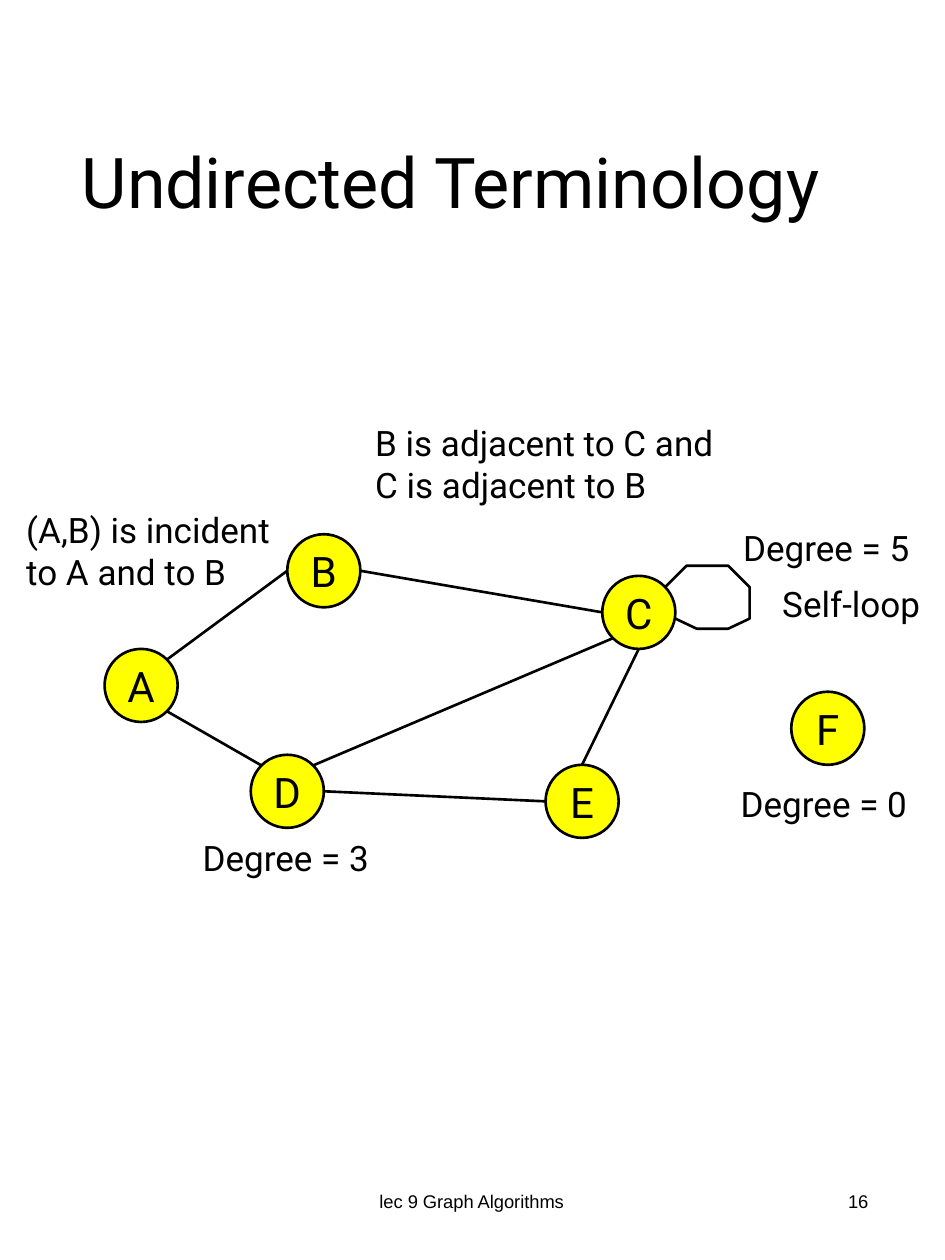
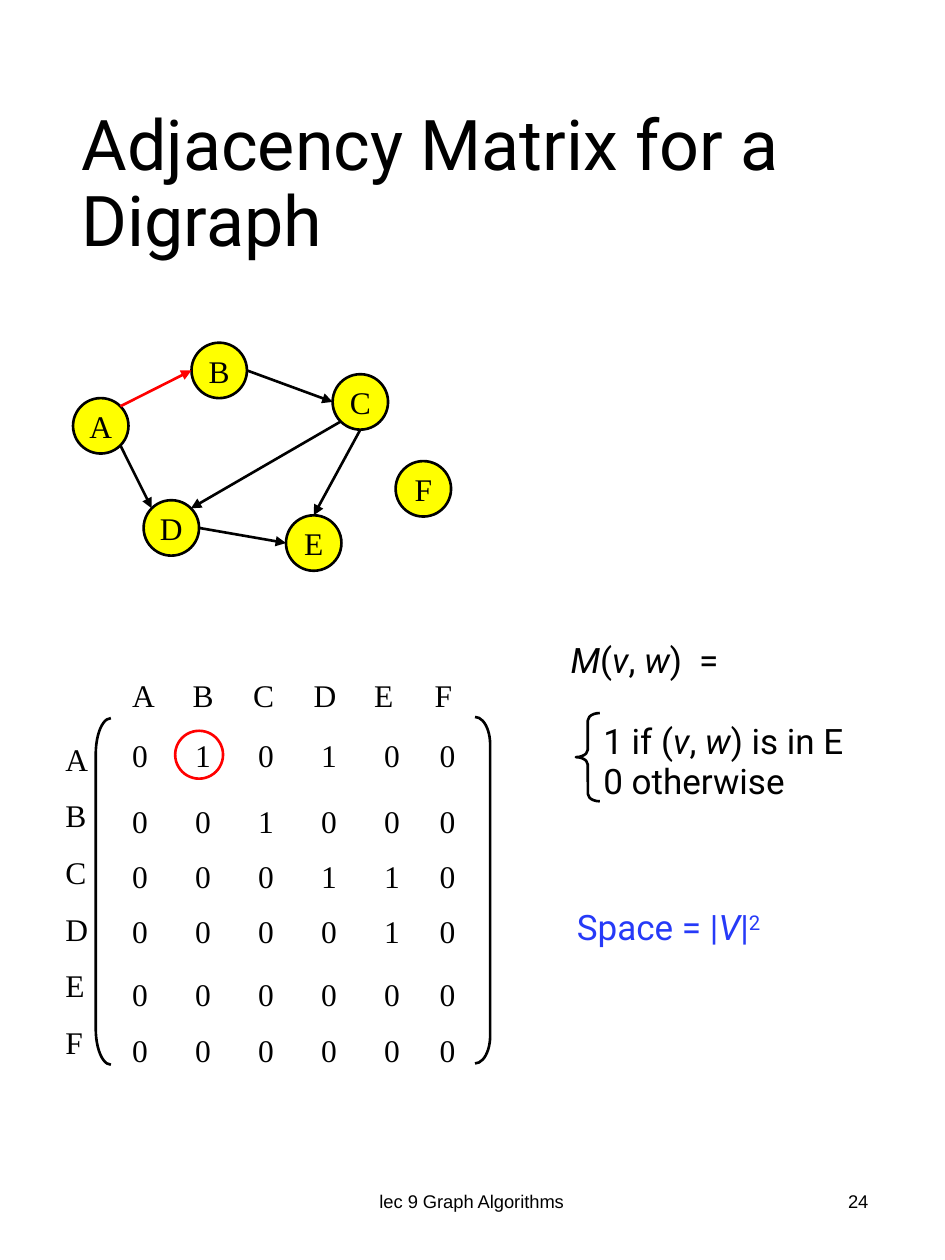
import dataclasses
import math
import typing

import lxml.etree
import pptx
import pptx.dml.color
import pptx.enum.shapes
import pptx.enum.text
import pptx.oxml.ns
import pptx.util

Inches = pptx.util.Inches
Shape = pptx.enum.shapes.MSO_SHAPE
Align = pptx.enum.text.PP_ALIGN
Anchor = pptx.enum.text.MSO_ANCHOR
AutoSize = pptx.enum.text.MSO_AUTO_SIZE

BLACK, RED, BLUE, YELLOW = "000000", "FF0000", "263AF8", "FFFF00"
LINE_WIDTH = pptx.util.Pt(1.5)

FORMATS = {
    "title": {"name": "Roboto", "size": pptx.util.Pt(40)},
    "footer": {"name": "Arial", "size": pptx.util.Pt(10.5)},
    "label": {"name": "Roboto", "size": pptx.util.Pt(20)},
    "large node": {"name": "Roboto", "size": pptx.util.Pt(24)},
    "matrix": {"name": "Times New Roman", "size": pptx.util.Pt(18)},
}


class Span(typing.NamedTuple):
    text: str
    italic: bool = False
    raised: bool = False


@dataclasses.dataclass
class Label:
    left: float
    top: float
    width: float
    height: float
    paras: list[list[Span]]
    style: str = "label"
    color: str = BLACK
    align: Align = Align.LEFT
    anchor: Anchor = Anchor.TOP
    wrap: bool = False
    grow: bool = True
    line_spacing: float | None = None
    gap: float = 0
    tabs: tuple[float, ...] = ()


@dataclasses.dataclass
class Graph:
    diameter: float
    style: str
    nodes: dict[str, tuple[float, float]]
    arrows: bool = False
    marked: str = ""


class Edge(typing.NamedTuple):
    start: str
    start_angle: int
    end: str
    end_angle: int


class Outline(typing.NamedTuple):
    kind: Shape
    left: float
    top: float
    width: float
    height: float
    adjustments: tuple[float, ...] = ()
    color: str = BLACK


EDGES = [
    Edge("C", 90, "E", 270),
    Edge("D", 0, "E", 180),
    Edge("A", 45, "D", 225),
    Edge("C", 135, "D", 315),
    Edge("B", 0, "C", 180),
    Edge("A", 315, "B", 180),
]

UNDIRECTED = Graph(
    0.58,
    "large node",
    {
        "A": (0.83, 5.15),
        "B": (2.28, 4.24),
        "C": (4.78, 4.57),
        "E": (4.33, 6.07),
        "D": (1.99, 5.99),
        "F": (6.28, 5.49),
    },
)
DIGRAPH = Graph(
    0.44,
    "matrix",
    {
        "A": (0.58, 3.16),
        "B": (1.52, 2.72),
        "C": (2.64, 2.97),
        "E": (2.27, 4.09),
        "D": (1.14, 3.97),
        "F": (3.14, 3.66),
    },
    arrows=True,
    marked="AB",
)

SELF_LOOP = [
    (5.28, 4.66), (5.45, 4.49), (5.78, 4.49), (5.95, 4.66),
    (5.95, 4.91), (5.78, 4.99), (5.53, 4.99), (5.36, 4.91),
]


def plain(text: str) -> list[list[Span]]:
    return [[Span(text)]]


UNDIRECTED_LABELS = [
    Label(1.51, 6.59, 1.63, 0.44, plain("Degree = 3")),
    Label(5.78, 6.16, 1.65, 0.44, plain("Degree = 0")),
    Label(2.88, 3.3, 3.07, 0.77, plain("B is adjacent to C and C is adjacent to B"), wrap=True),
    Label(
        0.11, 3.99, 2.34, 0.77,
        [[Span("(A,B) is incident"), Span("\n"), Span("to A and to B")]],
    ),
    Label(6.11, 4.57, 1.42, 0.43, plain("Self-loop"), wrap=True),
    Label(5.8, 4.13, 1.64, 0.44, plain("Degree = 5")),
]

V, W, COMMA = Span("v", italic=True), Span("w", italic=True), Span(", ")
DIGRAPH_LABELS = [
    Label(
        4.43, 5.02, 1.74, 0.44,
        [[Span("M", italic=True), Span("("), V, COMMA, W, Span(")\t=")]],
        tabs=(1.02,),
    ),
    Label(
        4.69, 5.66, 2.63, 0.44,
        [[Span("1 if ("), V, COMMA, W, Span(") is in E")]],
        wrap=True,
    ),
    Label(4.69, 5.98, 1.76, 0.44, plain("0 otherwise"), wrap=True),
    Label(
        4.48, 7.14, 1.86, 0.44,
        [[Span("Space = |"), Span("V", italic=True), Span("|"), Span("2", raised=True)]],
        color=BLUE,
    ),
]

OUTLINES = [
    Outline(Shape.LEFT_BRACKET, 0.76, 5.7, 0.12, 2.75, (2.38,)),
    Outline(Shape.RIGHT_BRACKET, 3.77, 5.69, 0.12, 2.75, (1.83,)),
    Outline(Shape.OVAL, 1.39, 5.8, 0.38, 0.38, color=RED),
    Outline(Shape.LEFT_BRACE, 4.57, 5.66, 0.19, 0.7, (0.31, 0.5)),
]

VERTICES = "ABCDEF"
MATRIX = ["010100", "001000", "000110", "000010", "000000", "000000"]
ROW_TOPS = [5.79, 6.32, 6.75, 7.19, 7.69, 8.13]
HEADER_TABS = tuple(0.48 * column for column in range(1, 6))
ROW_TABS = (0.5, 1.0, 1.5, 2.0, 2.44)


def rgb(color: str) -> pptx.dml.color.RGBColor:
    return pptx.dml.color.RGBColor.from_string(color)


def add_element(parent, tag: str, **attributes: str):
    return lxml.etree.SubElement(parent, pptx.oxml.ns.qn(tag), attributes)


def write_span(para, span: Span, style: str, color: str) -> None:
    if span.text == "\n":
        para.add_line_break()
        return
    run = para.add_run()
    run.text = span.text
    for attribute, value in {**FORMATS[style], "italic": span.italic}.items():
        setattr(run.font, attribute, value)
    run.font.color.rgb = rgb(color)
    if span.raised:
        run.font._element.set("baseline", "30000")


def draw_label(page, label: Label) -> None:
    bounds = (label.left, label.top, label.width, label.height)
    frame = page.shapes.add_textbox(*map(Inches, bounds)).text_frame
    frame_format = {
        "word_wrap": label.wrap,
        "vertical_anchor": label.anchor,
        "auto_size": AutoSize.SHAPE_TO_FIT_TEXT if label.grow else AutoSize.NONE,
    }
    for attribute, value in frame_format.items():
        setattr(frame, attribute, value)
    for index, spans in enumerate(label.paras):
        para = frame.add_paragraph() if index else frame.paragraphs[0]
        if label.tabs:
            tab_list = add_element(para._p.get_or_add_pPr(), "a:tabLst")
            for position in label.tabs:
                add_element(tab_list, "a:tab", pos=str(Inches(position)), algn="l")
        para.alignment = label.align
        if label.line_spacing:
            para.line_spacing = label.line_spacing
        if index and label.gap:
            para.space_before = pptx.util.Pt(label.gap)
        for span in spans:
            write_span(para, span, label.style, label.color)


def style_outline(shape, color: str = BLACK) -> None:
    shape.shadow.inherit = False
    shape.fill.background()
    shape.line.color.rgb = rgb(color)
    shape.line.width = LINE_WIDTH


def draw_outline(page, outline: Outline) -> None:
    bounds = (outline.left, outline.top, outline.width, outline.height)
    shape = page.shapes.add_shape(outline.kind, *map(Inches, bounds))
    style_outline(shape, outline.color)
    for index, value in enumerate(outline.adjustments):
        shape.adjustments[index] = value


def rim_point(graph: Graph, name: str, angle: int) -> tuple[float, float]:
    left, top = graph.nodes[name]
    radius = graph.diameter / 2
    turn = math.radians(angle)
    return left + radius * (1 + math.cos(turn)), top + radius * (1 + math.sin(turn))


def draw_graph(page, graph: Graph) -> None:
    for name, (left, top) in graph.nodes.items():
        bounds = (left, top, graph.diameter, graph.diameter)
        node = page.shapes.add_shape(Shape.OVAL, *map(Inches, bounds))
        style_outline(node)
        node.fill.solid()
        node.fill.fore_color.rgb = rgb(YELLOW)
        node.text_frame.word_wrap = False
        node.text_frame.vertical_anchor = Anchor.MIDDLE
        para = node.text_frame.paragraphs[0]
        para.alignment = Align.CENTER
        write_span(para, Span(name), graph.style, BLACK)
    for edge in EDGES:
        ends = rim_point(graph, edge.start, edge.start_angle) + rim_point(
            graph, edge.end, edge.end_angle
        )
        line = page.shapes.add_connector(
            pptx.enum.shapes.MSO_CONNECTOR.STRAIGHT, *map(Inches, ends)
        )
        line.line.color.rgb = rgb(RED if edge.start + edge.end == graph.marked else BLACK)
        line.line.width = LINE_WIDTH
        if graph.arrows:
            add_element(line.line._get_or_add_ln(), "a:tailEnd", type="triangle")
        add_element(line._element.spPr, "a:effectLst")


def draw_self_loop(page) -> None:
    points = [(Inches(x), Inches(y)) for x, y in SELF_LOOP]
    builder = page.shapes.build_freeform(*points[0])
    builder.add_line_segments(points[1:], close=False)
    style_outline(builder.convert_to_shape())


def draw_matrix(page) -> None:
    header = plain("\t".join(VERTICES))
    draw_label(
        page, Label(0.95, 5.32, 2.88, 0.4, header, "matrix", wrap=True, tabs=HEADER_TABS)
    )
    for top, row in zip(ROW_TOPS, MATRIX):
        values = plain("\t".join(row))
        draw_label(
            page, Label(0.95, top, 2.95, 0.4, values, "matrix", wrap=True, tabs=ROW_TABS)
        )
    names = [[Span(vertex)] for vertex in VERTICES]
    draw_label(page, Label(0.42, 5.82, 0.36, 2.75, names, "matrix", wrap=True, gap=10.8))


def add_page(deck, title: str, number: int):
    page = deck.slides.add_slide(deck.slide_layouts[6])
    shared = {"anchor": Anchor.MIDDLE, "wrap": True, "grow": False}
    for label in (
        Label(0.55, 0.51, 6.47, 1.93, plain(title), "title", line_spacing=0.9, **shared),
        Label(
            2.48, 9.27, 2.53, 0.53, plain("lec 9 Graph Algorithms"), "footer",
            align=Align.CENTER, **shared,
        ),
        Label(5.3, 9.27, 1.69, 0.53, plain(str(number)), "footer", align=Align.RIGHT, **shared),
    ):
        draw_label(page, label)
    return page


def main() -> None:
    deck = pptx.Presentation()
    deck.slide_width, deck.slide_height = Inches(7.5), Inches(10)

    page = add_page(deck, "Undirected Terminology", 16)
    draw_graph(page, UNDIRECTED)
    draw_self_loop(page)
    for label in UNDIRECTED_LABELS:
        draw_label(page, label)

    page = add_page(deck, "Adjacency Matrix for a Digraph", 24)
    draw_matrix(page)
    draw_graph(page, DIGRAPH)
    for outline in OUTLINES:
        draw_outline(page, outline)
    for label in DIGRAPH_LABELS:
        draw_label(page, label)

    deck.save("out.pptx")


if __name__ == "__main__":
    main()
